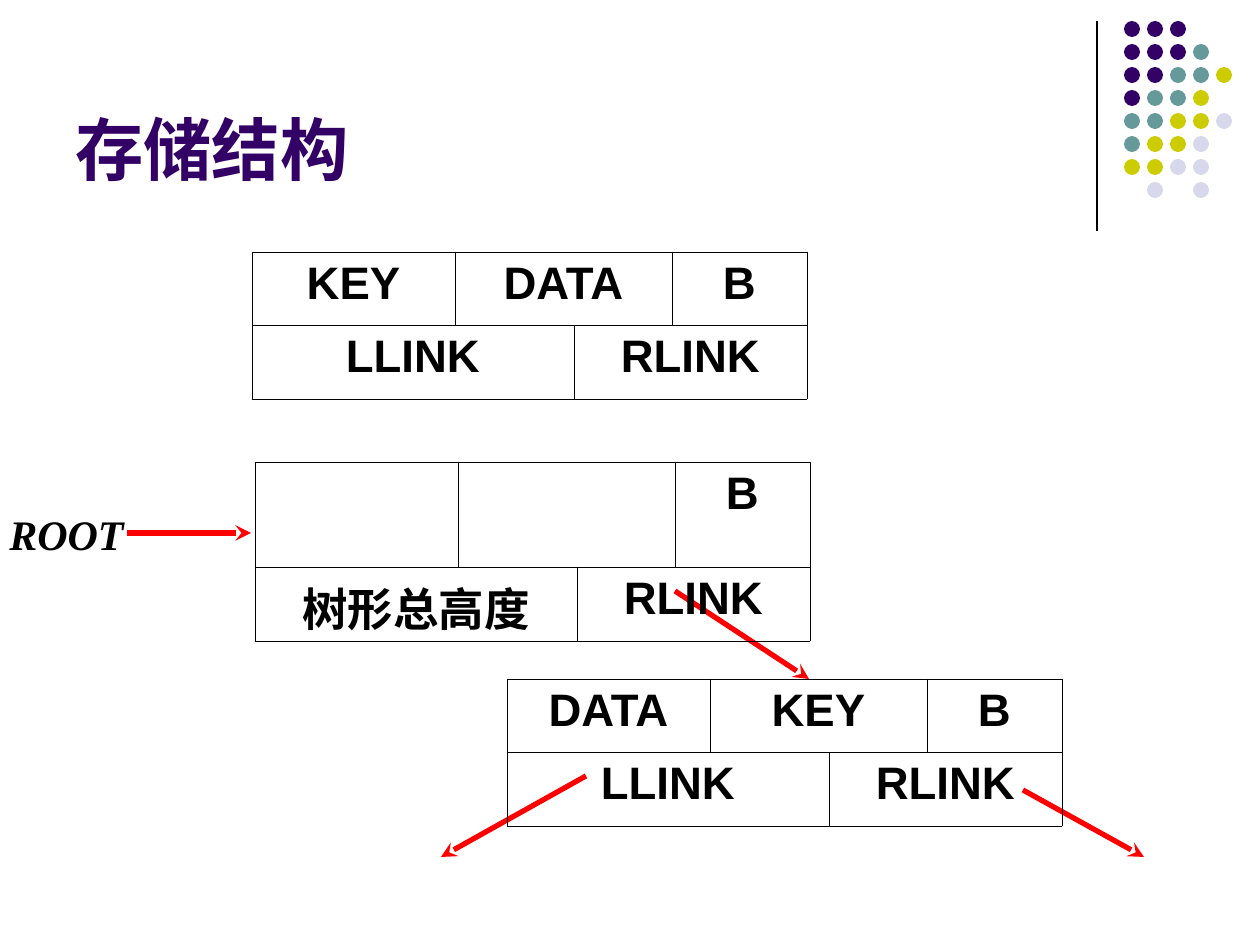
"""Build the slide on the storage structure of a balanced tree."""
from lxml import etree
from pptx import Presentation
from pptx.dml.color import RGBColor
from pptx.enum.shapes import MSO_CONNECTOR, MSO_SHAPE
from pptx.enum.text import MSO_ANCHOR, PP_ALIGN
from pptx.oxml import parse_xml
from pptx.oxml.ns import qn
from pptx.util import Pt

PX = 914400 // 126
STRAIGHT = MSO_CONNECTOR.STRAIGHT
OVAL = MSO_SHAPE.OVAL
CENTER = PP_ALIGN.CENTER
BOTTOM = MSO_ANCHOR.BOTTOM
BLACK = RGBColor(0x00, 0x00, 0x00)
RED = RGBColor(0xFF, 0x00, 0x00)
PURPLE = RGBColor(0x33, 0x00, 0x66)
TEAL = RGBColor(0x66, 0x99, 0x99)
OLIVE = RGBColor(0xCC, 0xCC, 0x00)
LAVENDER = RGBColor(0xD8, 0xD8, 0xEC)
DRAWING_NS = "http://schemas.openxmlformats.org/drawingml/2006/main"

prs = Presentation()
prs.slide_width, prs.slide_height = 1260 * PX, 945 * PX
slide = prs.slides.add_slide(prs.slide_layouts[6])
shapes = slide.shapes


def add_line(start, end, color, width):
    line = shapes.add_connector(STRAIGHT, *[v * PX for v in (*start, *end)])
    line.line.color.rgb = color
    line.line.width = Pt(width)
    etree.SubElement(line._element.spPr, qn("a:effectLst"))
    return line


def add_text(paragraph, text, size, color, font="Arial", italic=False):
    run = paragraph.add_run()
    run.text = text
    run.font.size = Pt(size)
    run.font.name = font
    run.font.bold = True
    run.font.italic = italic
    run.font.color.rgb = color


add_line((1097, 21), (1097, 231), BLACK, 0.75)

DOT_COLORS = {"P": PURPLE, "T": TEAL, "O": OLIVE, "L": LAVENDER}
DOT_ROWS = ["PPP", "PPPT", "PPTTO", "PTTO", "TTOOL", "TOOL", "OOLL", ".L.L"]
DOT_PITCH, DOT_SIZE = 23, 16
for row, letters in enumerate(DOT_ROWS):
    for col, letter in enumerate(letters):
        if letter not in DOT_COLORS:
            continue
        dot = shapes.add_shape(OVAL, (1124 + col * DOT_PITCH) * PX, (21 + row * DOT_PITCH) * PX,
                               DOT_SIZE * PX, DOT_SIZE * PX)
        dot.shadow.inherit = False
        dot.fill.solid()
        dot.fill.fore_color.rgb = DOT_COLORS[letter]
        dot.line.fill.background()

title = shapes.add_textbox(63 * PX, 16 * PX, 1040 * PX, 179 * PX).text_frame
title.word_wrap = True
title.vertical_anchor = BOTTOM
add_text(title.paragraphs[0], "存储结构", 39, PURPLE)

root = shapes.add_textbox(-4 * PX, 504 * PX, 141 * PX, 50 * PX).text_frame
root.word_wrap = True
root.margin_left = root.margin_right = root.margin_bottom = 0
root.margin_top = 5 * PX
root.paragraphs[0].alignment = CENTER
add_text(root.paragraphs[0], "ROOT", 24, BLACK, "Times New Roman", True)

POINTERS = [
    ((127, 533), (251, 533)),
    ((675, 591), (809, 679)),
    ((1023, 790), (1144, 857)),
    ((586, 776), (441, 857)),
]
for start, end in POINTERS:
    pointer = add_line(start, end, RED, 3)
    etree.SubElement(pointer.line._get_or_add_ln(), qn("a:tailEnd"), type="stealth")

COLUMN_WIDTHS = [203, 119, 98, 135]
MERGES = [((0, 1), (0, 2)), ((1, 0), (1, 1)), ((1, 2), (1, 3))]
FIELD_CELLS = [(0, 0), (0, 1), (0, 3), (1, 0), (1, 2)]
NODES = [
    (252, 252, [73, 74], ["KEY", "DATA", "B", "LLINK", "RLINK"]),
    (255, 462, [105, 74], ["", "", "B", "树形总高度", "RLINK"]),
    (507, 679, [73, 74], ["DATA", "KEY", "B", "LLINK", "RLINK"]),
]
for left, top, heights, fields in NODES:
    node = shapes.add_table(2, 4, left * PX, top * PX,
                            sum(COLUMN_WIDTHS) * PX, sum(heights) * PX).table
    node.first_row = node.horz_banding = False
    for column, width in zip(node.columns, COLUMN_WIDTHS):
        column.width = width * PX
    for row, height in zip(node.rows, heights):
        row.height = height * PX
    for first, last in MERGES:
        node.cell(*first).merge(node.cell(*last))
    for cell in node.iter_cells():
        for side in ("lnL", "lnR", "lnT", "lnB"):
            cell._tc.get_or_add_tcPr().append(parse_xml(
                f'<a:{side} xmlns:a="{DRAWING_NS}" w="{Pt(0.45)}"><a:solidFill>'
                f'<a:srgbClr val="{BLACK}"/></a:solidFill></a:{side}>'))
        cell.fill.background()
    for position, field in zip(FIELD_CELLS, fields):
        if field:
            paragraph = node.cell(*position).text_frame.paragraphs[0]
            paragraph.alignment = CENTER
            add_text(paragraph, field, 26, BLACK)

prs.save("out.pptx")
